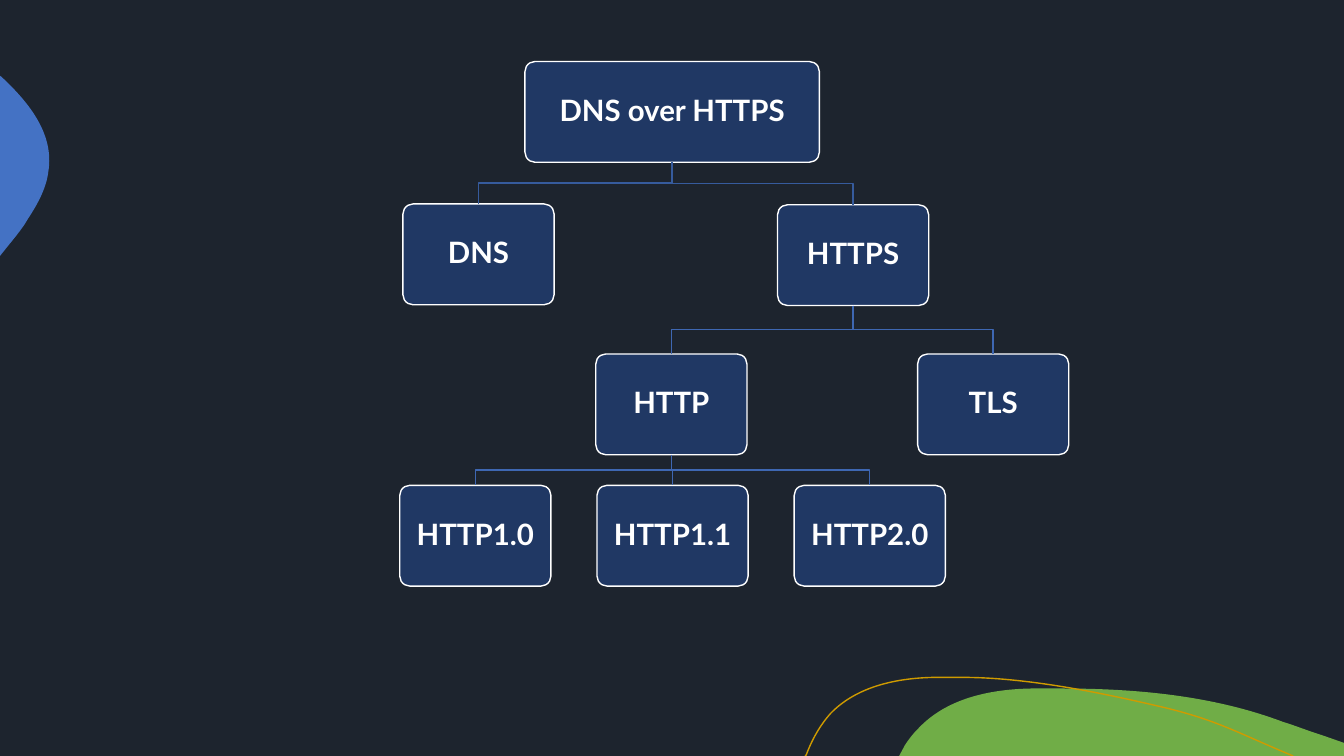
from pptx import Presentation
from pptx.dml.color import RGBColor
from pptx.enum.shapes import MSO_CONNECTOR, MSO_SHAPE
from pptx.enum.text import MSO_ANCHOR, PP_ALIGN
from pptx.oxml.ns import qn
from pptx.util import Cm, Pt
from lxml.etree import SubElement

COLORS = {
    "background": "1D242E",
    "box": "203864",
    "white": "FFFFFF",
    "upper link": "365B9D",
    "lower link": "3E67B2",
    "green": "70AD47",
    "blue": "4472C4",
    "gold": "CF9B00",
}
BOX_WIDTH, BOX_HEIGHT = 3.81, 2.54
LEAF_CENTER, LEAF_STEP = 16.95, 4.97

# Outlines in cm: a pair is a line to a point, three pairs are a Bezier curve
GREEN_HILL = [
    (26.77, 17.35),
    ((28.65, 17.35), (30.58, 17.53), (32.33, 18.19)),
    ((32.66, 18.29), (32.97, 18.42), (33.3, 18.52)),
    (33.87, 18.72), (33.87, 19.05), (22.66, 19.05), (22.81, 18.77),
    ((22.91, 18.62), (23.01, 18.49), (23.14, 18.36)),
    ((23.85, 17.6), (24.94, 17.37), (25.98, 17.35)),
    ((26.24, 17.35), (26.5, 17.35), (26.77, 17.35)),
]
BLUE_BULGE = [
    (0, 1.91), (0.03, 1.93),
    ((0.74, 2.59), (1.37, 3.38), (1.22, 4.32)),
    ((1.17, 4.75), (0.94, 5.16), (0.69, 5.54)),
    ((0.61, 5.69), (0.43, 5.92), (0.2, 6.2)),
    (0, 6.45),
]
GOLD_CURVE = [
    (20.29, 19.05), (20.32, 19.02),
    ((20.47, 18.62), (20.68, 18.26), (20.93, 17.98)),
    ((21.59, 17.3), (22.58, 17.09), (23.52, 17.07)),
    (24.26, 17.07),
    ((25.96, 17.07), (27.94, 17.5), (29.34, 17.83)),
    ((30.71, 18.16), (31.19, 18.47), (32.59, 19.05)),
]

# Name: center and top in cm, parent, link color
BOXES = {
    "DNS over HTTPS": (16.94, 1.55, None, None),
    "DNS": (12.06, 5.14, "DNS over HTTPS", "upper link"),
    "HTTPS": (21.5, 5.16, "DNS over HTTPS", "upper link"),
    "HTTP": (16.92, 8.92, "HTTPS", "lower link"),
    "TLS": (25.03, 8.92, "HTTPS", "lower link"),
}
for column, leaf in enumerate(["HTTP1.0", "HTTP1.1", "HTTP2.0"], start=-1):
    BOXES[leaf] = (LEAF_CENTER + column * LEAF_STEP, 12.23, "HTTP", "lower link")


def color(name):
    return RGBColor.from_string(COLORS[name])


def bend_segments(shape, segments):
    """Turn the straight segments that have control points into curves."""
    lines = list(shape._element.iter(qn("a:lnTo")))
    for line, segment in zip(lines, segments):
        if len(segment) != 3:
            continue
        line.tag = qn("a:cubicBezTo")
        for child in list(line):
            line.remove(child)
        for x, y in segment:
            SubElement(line, qn("a:pt"), x=str(Cm(x) - shape.left), y=str(Cm(y) - shape.top))


def bend_outline(shape, segments):
    """Replace each curved line command by a Bezier command."""
    for line, segment in zip(list(shape._element.iter(qn("a:lnTo"))), segments):
        if len(segment) == 3:
            curve = SubElement(line.getparent(), qn("a:cubicBezTo"))
            for x, y in segment:
                SubElement(curve, qn("a:pt"), x=str(Cm(x) - shape.left),
                           y=str(Cm(y) - shape.top))
            line.getparent().replace(line, curve)


def add_outline(slide, segments, fill=None, line=None):
    anchors = [segment[-1] if len(segment) == 3 else segment for segment in segments]
    points = [(Cm(x), Cm(y)) for x, y in anchors]
    builder = slide.shapes.build_freeform(*points[0])
    builder.add_line_segments(points[1:], close=fill is not None)
    shape = builder.convert_to_shape()
    bend_outline(shape, segments[1:])
    shape.shadow.inherit = False
    if fill:
        shape.fill.solid()
        shape.fill.fore_color.rgb = color(fill)
        shape.line.fill.background()
    else:
        shape.fill.background()
        shape.line.color.rgb = color(line)
        shape.line.width = Pt(1)


def add_box(slide, text, center, top, width):
    shape = slide.shapes.add_shape(
        MSO_SHAPE.ROUNDED_RECTANGLE,
        Cm(center - width / 2), Cm(top), Cm(width), Cm(BOX_HEIGHT))
    shape.adjustments[0] = 0.1
    shape.shadow.inherit = False
    shape.fill.solid()
    shape.fill.fore_color.rgb = color("box")
    shape.line.color.rgb = color("white")
    shape.line.width = Pt(1)
    frame = shape.text_frame
    frame.word_wrap = True
    frame.vertical_anchor = MSO_ANCHOR.MIDDLE
    frame.margin_left = frame.margin_right = Cm(0.2)
    frame.text = text
    paragraph = frame.paragraphs[0]
    paragraph.alignment = PP_ALIGN.CENTER
    paragraph.line_spacing = 0.9
    font = paragraph.font
    font.name, font.size, font.bold = "Lato", Pt(21), True
    font.color.rgb = color("white")
    return shape


def add_link(slide, parent, child, color_name):
    start_x = parent.left + parent.width // 2
    end_x = child.left + child.width // 2
    start_y, end_y = parent.top + parent.height, child.top
    shift, drop = end_x - start_x, end_y - start_y
    connector = slide.shapes.add_connector(
        MSO_CONNECTOR.ELBOW, start_x, start_y, end_x, end_y)
    connector.begin_connect(parent, 2)
    connector.end_connect(child, 0)
    # A quarter turn makes the elbow leave downwards
    connector.left = (start_x + end_x - drop) // 2
    connector.top = (start_y + end_y - abs(shift)) // 2
    connector.width, connector.height = drop, abs(shift)
    properties = connector._element.spPr
    frame = properties.find(qn("a:xfrm"))
    frame.set("rot", "5400000")
    frame.set("flipH", "0")
    frame.set("flipV", "1" if shift > 0 else "0")
    connector.line.color.rgb = color(color_name)
    connector.line.width = Pt(1)
    SubElement(properties, qn("a:effectLst"))


def main():
    presentation = Presentation()
    presentation.slide_width = Cm(33.87)
    presentation.slide_height = Cm(19.05)
    slide = presentation.slides.add_slide(presentation.slide_layouts[6])
    slide.background.fill.solid()
    slide.background.fill.fore_color.rgb = color("background")

    # Decoration
    add_outline(slide, GREEN_HILL, fill="green")
    add_outline(slide, BLUE_BULGE, fill="blue")
    add_outline(slide, GOLD_CURVE, line="gold")

    # Protocol tree
    shapes = {}
    for text, (center, top, parent, link_color) in BOXES.items():
        width = BOX_WIDTH if parent else 7.42
        shapes[text] = add_box(slide, text, center, top, width)
        if parent:
            add_link(slide, shapes[parent], shapes[text], link_color)

    presentation.save("out.pptx")


if __name__ == "__main__":
    main()
